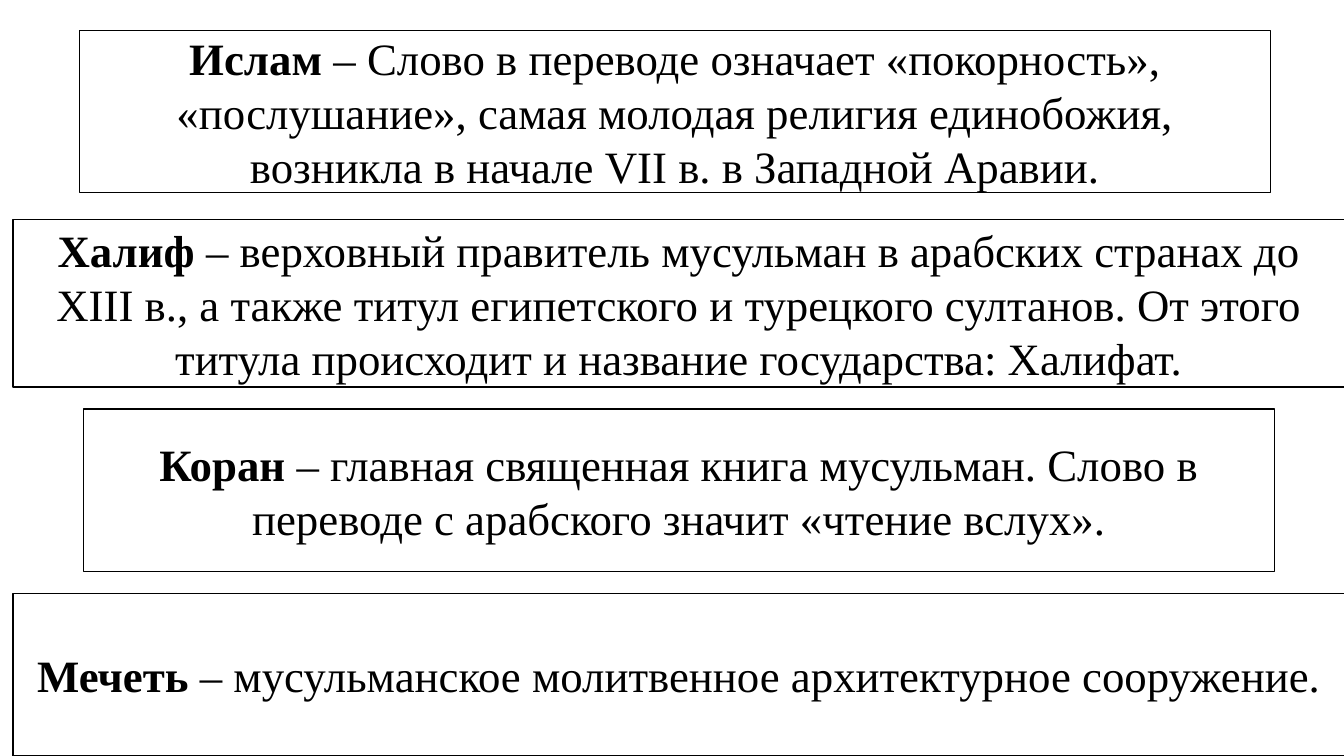
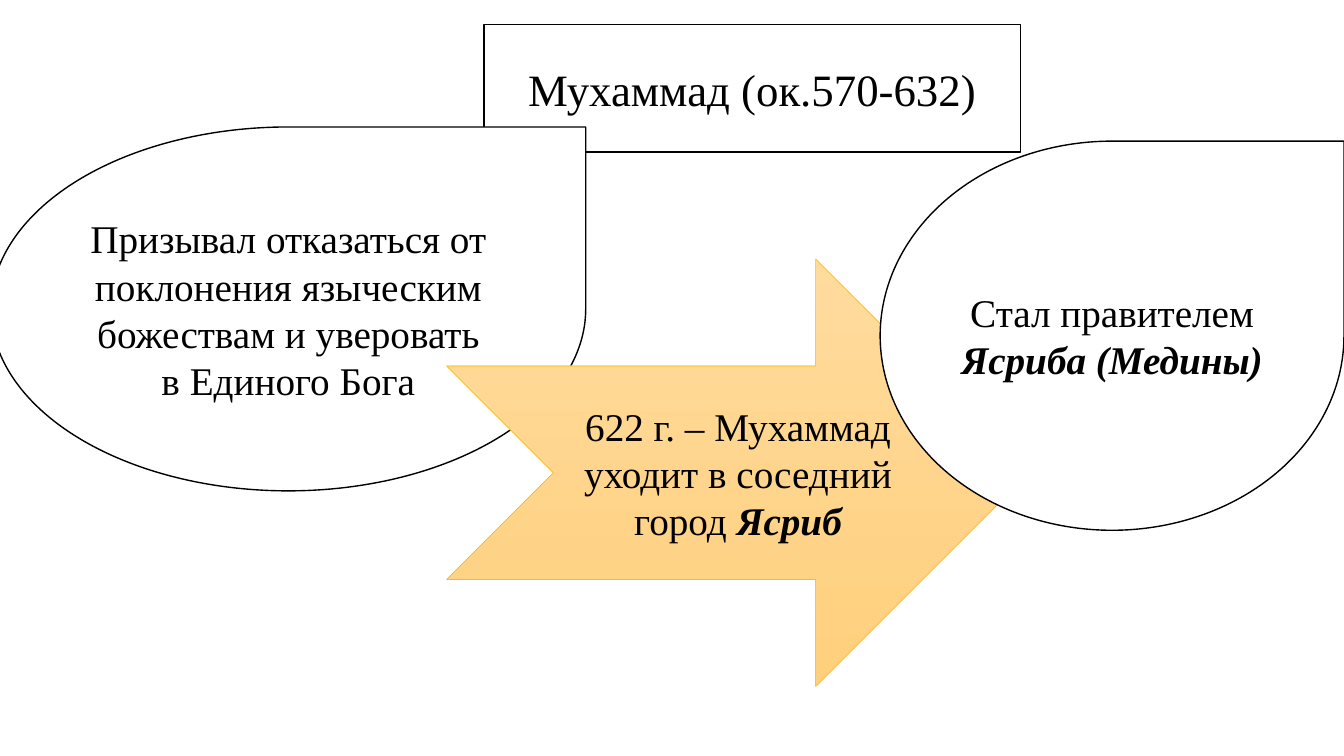
import pptx
import pptx.dml.color
import pptx.enum.shapes
import pptx.enum.text
import pptx.util

RGBColor = pptx.dml.color.RGBColor
BLACK = RGBColor(0x00, 0x00, 0x00)
WHITE = RGBColor(0xFF, 0xFF, 0xFF)
GOLD = RGBColor(0xFF, 0xC0, 0x00)
LIGHT_AMBER = RGBColor(0xFF, 0xDB, 0x9E)
DEEP_AMBER = RGBColor(0xFF, 0xD0, 0x7C)

SHAPES = pptx.enum.shapes.MSO_SHAPE
GRID = 100
TERM_SIZE = 32
EVENT_SIZE = 28
PLAIN = {"bold": False, "italic": False}
STRONG = {"bold": True, "italic": False}
EMPHASIS = {"bold": True, "italic": True}

TERMS = [
    ((5.93, 4, 88.6, 21.47), "Ислам ",
     "– Слово в переводе означает «покорность», «послушание», самая молодая "
     "религия единобожия, возникла в начале VII в. в Западной Аравии."),
    ((0.98, 29.07, 99.1, 22.13), "Халиф",
     " – верховный правитель мусульман в арабских странах до XIII в., а также "
     "титул египетского и турецкого султанов. От этого титула происходит и "
     "название государства: Халифат."),
    ((6.23, 54.13, 88.6, 21.47), "Коран ",
     "– главная священная книга мусульман. Слово в переводе с арабского "
     "значит «чтение вслух»."),
    ((0.98, 78.53, 99.1, 21.47), "Мечеть",
     " – мусульманское молитвенное архитектурное сооружение."),
]


def place(area, cells):
    """Turn left, top, width and height in grid cells into lengths inside the area."""
    left, top, width, height = area
    column, row = width / GRID, height / GRID
    x, y, columns, rows = cells
    return (int(left + x * column), int(top + y * row),
            int(columns * column), int(rows * row))


def add_panel(page, kind, box, size, spans):
    """Add a white, black-outlined shape with centred text and return it."""
    panel = page.shapes.add_shape(kind, *box)
    panel.shadow.inherit = False
    panel.fill.solid()
    panel.fill.fore_color.rgb = WHITE
    panel.line.color.rgb = BLACK
    panel.line.width = pptx.util.Pt(1)
    frame = panel.text_frame
    frame.word_wrap = True
    frame.vertical_anchor = pptx.enum.text.MSO_ANCHOR.MIDDLE
    para = frame.paragraphs[0]
    para.alignment = pptx.enum.text.PP_ALIGN.CENTER
    for text, style in spans:
        span = para.add_run()
        span.text = text
        span.font.color.rgb = BLACK
        formats = {"name": "Times New Roman", "size": pptx.util.Pt(size), **style}
        for name, value in formats.items():
            setattr(span.font, name, value)
    return panel


def paint_amber(panel):
    """Give a panel a downward amber gradient and a thin gold outline."""
    panel.fill.gradient()
    panel.fill.gradient_angle = 270
    for stop, color in zip(panel.fill.gradient_stops, (LIGHT_AMBER, DEEP_AMBER)):
        stop.color.rgb = color
    panel.line.color.rgb = GOLD
    panel.line.width = pptx.util.Pt(0.5)


def build_terms(page, area):
    """Stack the term definitions down the area."""
    for cells, term, meaning in TERMS:
        add_panel(page, SHAPES.RECTANGLE, place(area, cells), TERM_SIZE,
                  [(term, STRONG), (meaning, PLAIN)])


def build_biography(page, area):
    """Show the name above a sequence of preaching, departure and rule."""
    add_panel(page, SHAPES.RECTANGLE, place(area, (36.01, 3.2, 39.91, 16.93)),
              TERM_SIZE, [("Мухаммад (ок.570-632)", PLAIN)])
    add_panel(page, SHAPES.TEAR, place(area, (-0.68, 16.8, 44.26, 48.13)), EVENT_SIZE,
              [("Призывал отказаться от поклонения языческим божествам "
                "и уверовать в Единого Бога", PLAIN)])
    departure = add_panel(
        page, SHAPES.NOTCHED_RIGHT_ARROW, place(area, (33.23, 34.27, 43.36, 56.53)),
        EVENT_SIZE,
        [("622 г. – Мухаммад уходит в соседний город ", PLAIN), ("Ясриб", EMPHASIS)])
    paint_amber(departure)
    add_panel(page, SHAPES.TEAR, place(area, (65.49, 18.67, 34.51, 51.47)), EVENT_SIZE,
              [("Стал правителем ", PLAIN), ("Ясриба (Медины)", EMPHASIS)])


def main():
    """Build both slides and save the deck."""
    deck = pptx.Presentation()
    deck.slide_width = pptx.util.Inches(13.33)
    deck.slide_height = pptx.util.Inches(7.5)
    area = (0, 0, deck.slide_width, deck.slide_height)
    for build in (build_terms, build_biography):
        build(deck.slides.add_slide(deck.slide_layouts[6]), area)
    deck.save("out.pptx")


if __name__ == "__main__":
    main()
